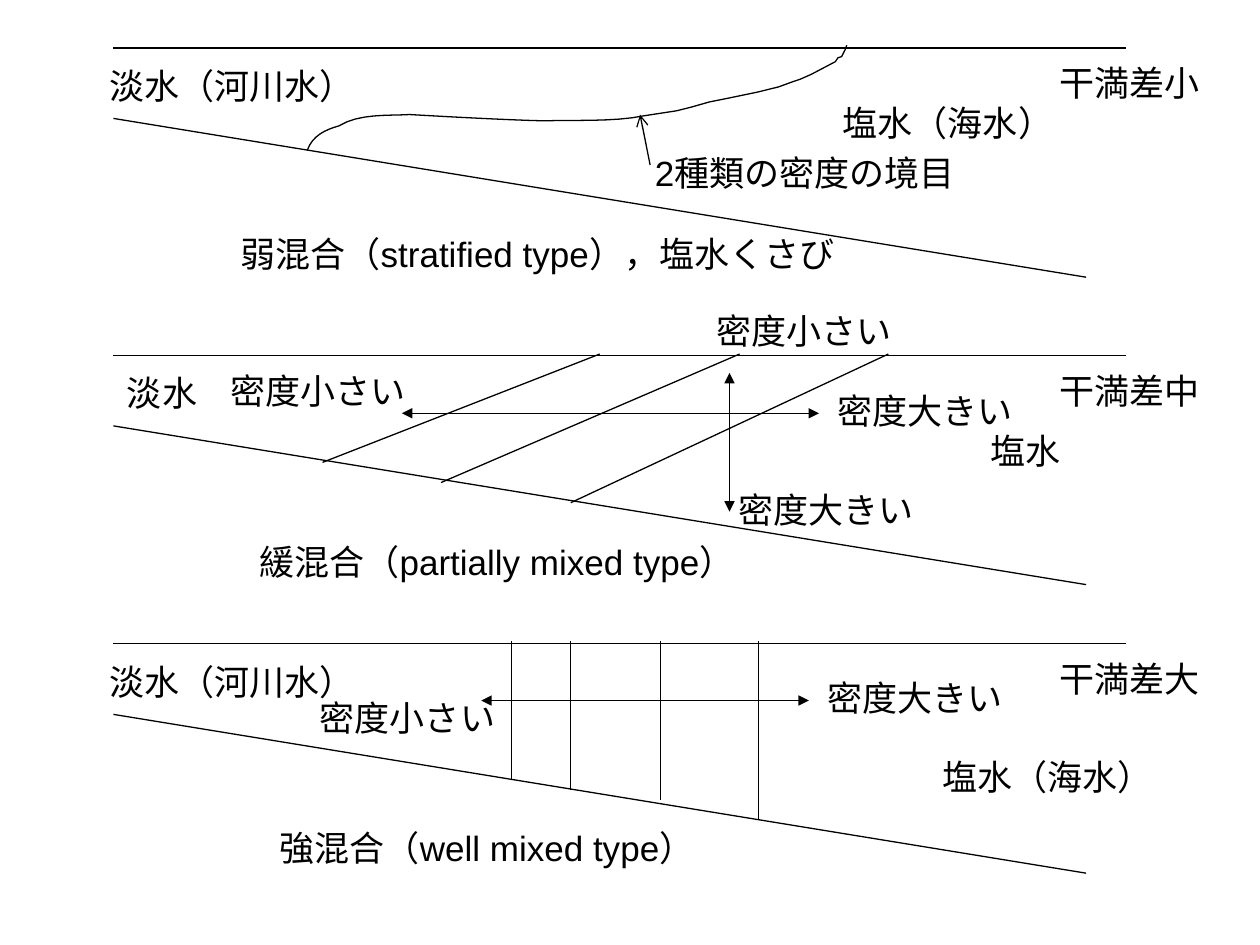
from dataclasses import dataclass

from lxml.etree import SubElement
from pptx import Presentation
from pptx.dml.color import RGBColor
from pptx.enum.shapes import MSO_CONNECTOR
from pptx.enum.text import MSO_AUTO_SIZE
from pptx.oxml.ns import qn
from pptx.util import Inches, Pt


@dataclass(frozen=True)
class Theme:
    """Colours, type and line sizes."""
    ink: RGBColor = RGBColor(0, 0, 0)
    font: str = "Arial"
    size: Pt = Pt(20)
    line: Pt = Pt(0.75)
    glyph: float = 0.28
    pad: float = 0.1


@dataclass(frozen=True)
class Box:
    """A panel whose top edge is the water surface, in inches."""
    left: float
    top: float
    width: float = 8.04
    height: float = 1.82

    def place(self, x, y):
        """Turn a point in the panel into a point on the slide."""
        return Inches(self.left + x), Inches(self.top + y)


THEME = Theme()
CURVES = [
    [(1.58, 0.7), (1.68, 0.65), (1.79, 0.62)],
    [(1.95, 0.52), (2.18, 0.54), (2.35, 0.53)],
    [(2.71, 0.55), (3.06, 0.57), (3.42, 0.58)],
    [(3.66, 0.57), (3.96, 0.59), (4.21, 0.54)],
]
SHORE = [(4.47, 0.5), (4.59, 0.47), (4.73, 0.43), (4.88, 0.4), (5.12, 0.35),
         (5.28, 0.31), (5.39, 0.27), (5.45, 0.25), (5.54, 0.21), (5.73, 0.11),
         (5.75, 0.08), (5.78, 0.07), (5.81, 0.01), (5.82, -0.02)]


def label(slide, box, text, x, y, width=None):
    """Add one line of text, sized by its full-width letters by default."""
    width = width or len(text) * THEME.glyph + 2 * THEME.pad
    shape = slide.shapes.add_textbox(*box.place(x, y), Inches(width), Inches(0.44))
    frame = shape.text_frame
    frame.word_wrap = False
    frame.auto_size = MSO_AUTO_SIZE.SHAPE_TO_FIT_TEXT
    para = frame.paragraphs[0]
    para.text = text
    para.font.name = THEME.font
    para.font.size = THEME.size
    para.font.color.rgb = THEME.ink


def stroke(slide, box, start, end, head=None, tail=None):
    """Add a straight line with optional arrowheads."""
    shape = slide.shapes.add_connector(
        MSO_CONNECTOR.STRAIGHT, *box.place(*start), *box.place(*end))
    shape.line.color.rgb = THEME.ink
    shape.line.width = THEME.line
    props = shape.element.spPr
    for tag, kind in (("a:headEnd", head), ("a:tailEnd", tail)):
        if kind:
            SubElement(props.find(qn("a:ln")), qn(tag), type=kind)
    SubElement(props, qn("a:effectLst"))


def bezier(start, one, two, end, steps=8):
    """Return points along a cubic curve, without its start."""
    points = []
    for step in range(1, steps + 1):
        t = step / steps
        mix = ((1 - t) ** 3, 3 * t * (1 - t) ** 2, 3 * t * t * (1 - t), t ** 3)
        points.append(tuple(
            sum(m * p[axis] for m, p in zip(mix, (start, one, two, end)))
            for axis in (0, 1)))
    return points


def border(slide, box):
    """Draw the curved edge between the two densities."""
    points = [(1.54, 0.81)]
    for curve in CURVES:
        points += bezier(points[-1], *curve)
    points = [box.place(*point) for point in points + SHORE]
    maker = slide.shapes.build_freeform(*points[0])
    maker.add_line_segments(points[1:], close=False)
    shape = maker.convert_to_shape()
    shape.shadow.inherit = False
    shape.fill.background()
    shape.line.color.rgb = THEME.ink
    shape.line.width = THEME.line


def basin(slide, box, tide):
    """Draw the water surface, the sloping bed and the tide label."""
    stroke(slide, box, (0, 0.56), (box.width - 0.32, box.height))
    stroke(slide, box, (0, 0), (box.width, 0))
    label(slide, box, tide, 7.41, 0.06)


def wedge(slide, box):
    """Draw the stratified type."""
    basin(slide, box, "干満差小")
    border(slide, box)
    label(slide, box, "塩水（海水）", 5.69, 0.38)
    label(slide, box, "淡水（河川水）", -0.13, 0.08)
    label(slide, box, "弱混合（stratified type），塩水くさび", 0.91, 1.42, 5.07)
    stroke(slide, box, (4.26, 0.93), (4.18, 0.53), tail="arrow")
    label(slide, box, "2種類の密度の境目", 4.2, 0.77, 2.67)


def partial(slide, box):
    """Draw the partially mixed type."""
    basin(slide, box, "干満差中")
    label(slide, box, "塩水", 6.86, 0.54)
    label(slide, box, "淡水", 0.01, 0.08)
    label(slide, box, "緩混合（partially mixed type）", 1.06, 1.42, 4.13)
    for low, deep, high in ((1.66, 0.85, 3.86), (2.6, 1.01, 4.97), (3.63, 1.17, 6.15)):
        stroke(slide, box, (low, deep), (high, -0.01))
    stroke(slide, box, (2.29, 0.46), (5.6, 0.46), "triangle", "triangle")
    stroke(slide, box, (4.89, 0.14), (4.89, 1.24), "triangle", "triangle")
    for x, y in ((5.65, 0.22), (4.86, 1.01)):
        label(slide, box, "密度大きい", x, y)
    for x, y in ((0.83, 0.06), (4.69, -0.41)):
        label(slide, box, "密度小さい", x, y)


def mixed(slide, box):
    """Draw the well mixed type."""
    basin(slide, box, "干満差大")
    label(slide, box, "塩水（海水）", 6.48, 0.84)
    label(slide, box, "淡水（河川水）", -0.13, 0.08)
    label(slide, box, "強混合（well mixed type）", 1.22, 1.4, 3.65)
    for x, deep in ((3.16, 1.08), (3.63, 1.16), (4.34, 1.24), (5.12, 1.4)):
        stroke(slide, box, (x, -0.02), (x, deep))
    stroke(slide, box, (2.92, 0.45), (5.52, 0.45), "triangle", "triangle")
    label(slide, box, "密度小さい", 1.54, 0.37)
    label(slide, box, "密度大きい", 5.57, 0.21)


def main():
    """Build the slide and save it."""
    deck = Presentation()
    deck.slide_width, deck.slide_height = Inches(10), Inches(7.5)
    slide = deck.slides.add_slide(deck.slide_layouts[6])
    for draw, top in ((wedge, 0.38), (partial, 2.82), (mixed, 5.11)):
        draw(slide, Box(0.9, top))
    deck.save("out.pptx")


if __name__ == "__main__":
    main()
